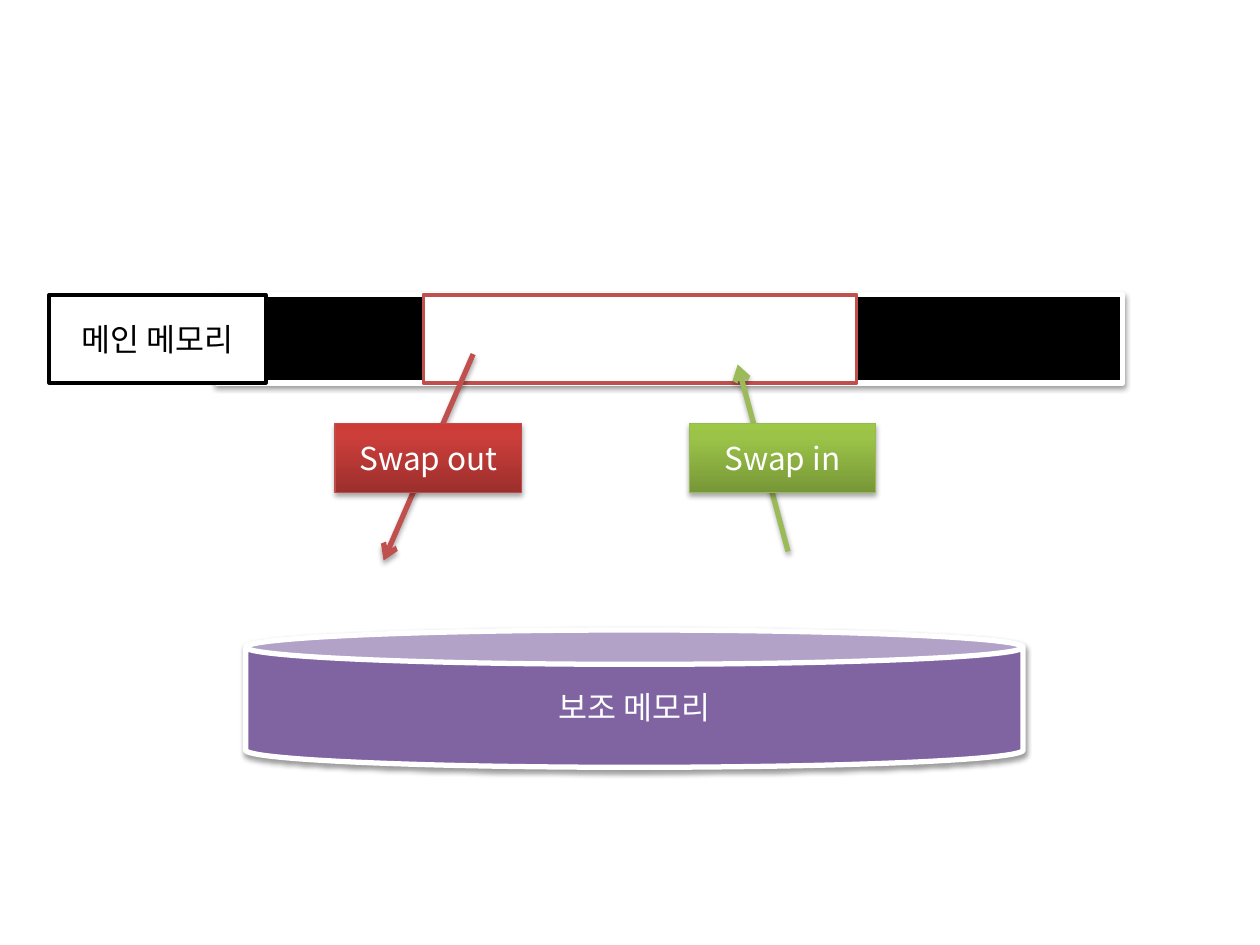
from lxml import etree
from pptx import Presentation
from pptx.dml.color import RGBColor
from pptx.enum.shapes import MSO_CONNECTOR, MSO_SHAPE
from pptx.enum.text import MSO_ANCHOR, PP_ALIGN
from pptx.oxml.ns import qn
from pptx.util import Inches, Pt

FONT = "Noto Sans CJK KR"
WIDTH, HEIGHT = 10, 7.5
SOFT = (38, 1.6)
STRONG = (35, 1.8)


def color(value):
    return RGBColor.from_string(value)


def add_node(parent, tag, **attributes):
    return etree.SubElement(parent, qn(tag), {k: str(v) for k, v in attributes.items()})


def add_effects(properties, shadow):
    for old in properties.findall(qn("a:effectLst")):
        properties.remove(old)
    effects = add_node(properties, "a:effectLst")
    if shadow:
        opacity, distance = shadow
        outer = add_node(effects, "a:outerShdw", blurRad=Pt(3.1), dist=Pt(distance),
                         dir=5400000, rotWithShape=0)
        black = add_node(outer, "a:srgbClr", val="000000")
        add_node(black, "a:alpha", val=opacity * 1000)


def paint_gradient(shape, stops):
    shape.fill.gradient()
    shape.fill.gradient_angle = 90
    stop_list = shape._element.spPr.find(qn("a:gradFill")).find(qn("a:gsLst"))
    for old in list(stop_list):
        stop_list.remove(old)
    for position, value in zip((0, 80, 100), stops):
        stop = add_node(stop_list, "a:gs", pos=position * 1000)
        add_node(stop, "a:srgbClr", val=value)


def write_label(shape, text, text_color):
    frame = shape.text_frame
    frame.word_wrap = True
    frame.vertical_anchor = MSO_ANCHOR.MIDDLE
    paragraph = frame.paragraphs[0]
    paragraph.alignment = PP_ALIGN.CENTER
    run = paragraph.add_run()
    run.text = text
    run.font.name = FONT
    run.font.size = Pt(18)
    run.font.color.rgb = color(text_color)
    add_node(run._r.get_or_add_rPr(), "a:ea", typeface=FONT)


def add_block(slide, box, fill, line, line_width, shadow=None, text="",
              text_color="FFFFFF", kind=MSO_SHAPE.RECTANGLE):
    shape = slide.shapes.add_shape(kind, *(Inches(v) for v in box))
    if isinstance(fill, str):
        shape.fill.solid()
        shape.fill.fore_color.rgb = color(fill)
    else:
        paint_gradient(shape, fill)
    shape.line.color.rgb = color(line)
    shape.line.width = Pt(line_width)
    add_effects(shape._element.spPr, shadow)
    if text:
        write_label(shape, text, text_color)
    return shape


def add_arrow(slide, start, end, line):
    arrow = slide.shapes.add_connector(MSO_CONNECTOR.STRAIGHT,
                                       *(Inches(v) for v in (*start, *end)))
    arrow.line.color.rgb = color(line)
    arrow.line.width = Pt(3)
    add_node(arrow.line._get_or_add_ln(), "a:tailEnd", type="arrow")
    add_effects(arrow._element.spPr, STRONG)


def main_memory(slide, box):
    left, top, width, height = box

    def span(start, share):
        return left + start * width, top, share * width, height

    add_block(slide, span(0.156, 0.844), "000000", "FFFFFF", 3, SOFT)
    add_block(slide, span(0.3486, 0.4037), "FFFFFF", "C0504D", 2)
    add_block(slide, span(0, 0.2019), "FFFFFF", "000000", 2,
              text="메인 메모리", text_color="000000")


def secondary_memory(slide, box):
    add_block(slide, box, "8064A2", "FFFFFF", 3, SOFT, "보조 메모리", kind=MSO_SHAPE.CAN)


def swap(slide, box, text, start, end, arrow_color, stops, outline):
    left, top, width, height = box
    tips = [(left + x * width, top + y * height) for x, y in (start, end)]
    add_arrow(slide, *tips, arrow_color)
    add_block(slide, box, stops, outline, 0.75, STRONG, text)


def swapping_slide(prs):
    slide = prs.slides.add_slide(prs.slide_layouts[6])
    main_memory(slide, (0.039 * WIDTH, 0.312 * HEIGHT, 0.852 * WIDTH, 0.0933 * HEIGHT))
    secondary_memory(slide, (0.195 * WIDTH, 0.6667 * HEIGHT, 0.617 * WIDTH, 0.1453 * HEIGHT))
    swaps = [
        (0.266, "Swap out", (0.74, -1), (0.26, 1.98), "C0504D",
         ("9C2F2D", "CB3E3A", "CE3B37"), "BF4C48"),
        (0.547, "Swap in", (0.53, 1.85), (0.26, -0.85), "9BBB59",
         ("779737", "9BC348", "9DC746"), "98B955"),
    ]
    for left, *details in swaps:
        swap(slide, (left * WIDTH, 0.448 * HEIGHT, 0.148 * WIDTH, 0.0733 * HEIGHT), *details)


prs = Presentation()
prs.slide_width, prs.slide_height = Inches(WIDTH), Inches(HEIGHT)
swapping_slide(prs)
prs.save("out.pptx")
